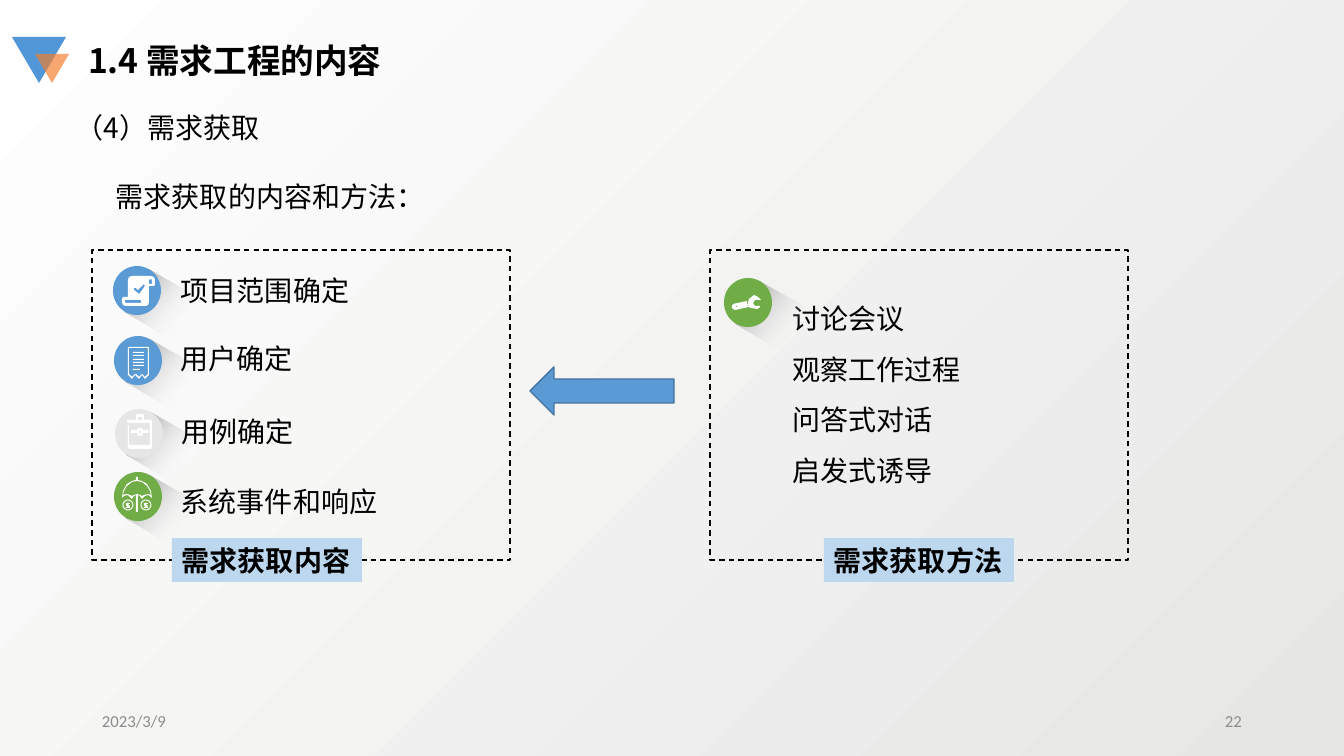
from math import cos, pi, sin

from lxml import etree
from pptx import Presentation
from pptx.dml.color import RGBColor
from pptx.enum.dml import MSO_LINE
from pptx.enum.shapes import MSO_SHAPE
from pptx.enum.text import MSO_ANCHOR, MSO_AUTO_SIZE, PP_ALIGN
from pptx.oxml.ns import qn
from pptx.util import Pt

PX = 12192000 / 1344
CJK = "Noto Sans CJK SC"
BLUE, GREEN, GREY, PALE = "5B9BD5", "70AD47", "E6E6E6", "BDD7EE"
RECT, OVAL = MSO_SHAPE.RECTANGLE, MSO_SHAPE.OVAL
TRI, ARROW = MSO_SHAPE.ISOSCELES_TRIANGLE, MSO_SHAPE.DOWN_ARROW
TOP, MID = MSO_ANCHOR.TOP, MSO_ANCHOR.MIDDLE
LEFT, RIGHT = PP_ALIGN.LEFT, PP_ALIGN.RIGHT


def paint(color, hue, alpha=None):
    color.rgb = RGBColor.from_string(hue)
    if alpha is not None:
        node = color._xFill.find(qn("a:srgbClr")) if hasattr(color, "_xFill") else None
        if node is None:
            node = color._color._xClr
        etree.SubElement(node, qn("a:alpha")).set("val", str(alpha * 1000))


def write(shape, text, box=None, size=20, font="Calibri", hue="000000",
          bold=False, align=LEFT, anchor=MID, space=None, wrap=True):
    if box:
        shape.left, shape.top, shape.width, shape.height = [round(v * PX) for v in box]
    frame = shape.text_frame
    frame.text = text
    frame.word_wrap = wrap
    frame.auto_size = MSO_AUTO_SIZE.NONE
    frame.vertical_anchor = anchor
    for para in frame.paragraphs:
        para.alignment = align
        para.space_before = Pt(0)
        if space:
            para.line_spacing = space
        if shape.is_placeholder:
            props = para._p.get_or_add_pPr()
            props.set("marL", "0")
            props.set("indent", "0")
            etree.SubElement(props, qn("a:buNone"))
        for run in para.runs:
            run.font.name, run.font.size, run.font.bold = font, Pt(size), bold
            paint(run.font.color, hue)
            latin = run.font._element.find(qn("a:latin"))
            east = etree.Element(qn("a:ea"))
            east.set("typeface", CJK)
            latin.addnext(east)


deck = Presentation()
deck.slide_width, deck.slide_height = round(1344 * PX), round(756 * PX)
slide = deck.slides.add_slide(deck.slide_layouts[1])
shapes = slide.shapes

# Background
back = slide.background.fill
back.gradient()
back.gradient_angle = 135
for stop, hue in zip(back.gradient_stops, ("E6E6E5", "FFFFFF")):
    paint(stop.color, hue)

# Title and method list
write(shapes.title, "1.4 需求工程的内容", (78, 40, 471, 46), size=24, font=CJK,
      bold=True, space=0.9)
write(slide.placeholders[1], "讨论会议\n观察工作过程\n问答式对话\n启发式诱导",
      (782, 280, 335, 206), font="Arial", anchor=TOP, space=Pt(36))

# Corner triangles
for x, y, w, h, hue, alpha in ((12, 37, 54, 46, "5197D7", 100),
                               (35, 54, 34, 29, "F37D2A", 68)):
    mark = shapes.add_shape(TRI, *[round(v * PX) for v in (x, y, w, h)])
    mark.rotation = 180
    mark.shadow.inherit = False
    mark.fill.solid()
    paint(mark.fill.fore_color, hue, alpha)
    mark.line.fill.background()

# Icon outlines, in px from the corner of their disc
scroll = [
    [(38, 10), (19, 10), (16, 11), (15, 14), (15, 31), (10, 31), (9, 33), (9, 36), (10, 39),
     (13, 40), (33, 40), (35, 39), (36, 36), (36, 20), (41, 20), (42, 19), (42, 14), (41, 11)],
    [(13, 37), (12, 36), (12, 34), (28, 34), (28, 36), (29, 37)],
    [(32, 20), (27, 27), (26, 28), (25, 27), (21, 24), (21, 22), (23, 22), (25, 24),
     (30, 19), (31, 18)],
    [(39, 18), (36, 18), (36, 14), (38, 13), (39, 14)]]
bill = [
    [(14, 11), (35, 11), (35, 39), (31, 43), (28, 39), (25, 43), (21, 39), (18, 43), (14, 39)],
    [(15, 12), (15, 38), (18, 41), (21, 38), (22, 38), (25, 41), (28, 38), (31, 41),
     (34, 38), (34, 12)]]
for y, end in ((16, 30), (19, 30), (23, 30), (26, 30), (29, 30), (33, 26)):
    bill.append([(19, y), (end, y), (end, y + 1), (19, y + 1)])
bag = [
    [(12, 11), (21, 11), (21, 6), (22, 5), (28, 5), (29, 6), (29, 11), (36, 11), (37, 12),
     (37, 38), (36, 40), (14, 40), (13, 38), (13, 16), (14, 16), (14, 36), (35, 36),
     (35, 14), (13, 14), (12, 12)],
    [(23, 8), (23, 11), (27, 11), (27, 8)],
    [(16, 21), (22, 21), (23, 19), (27, 19), (28, 21), (33, 21), (34, 23), (33, 24),
     (28, 24), (27, 27), (23, 27), (22, 24), (16, 24)],
    [(24, 22), (26, 22), (26, 24), (24, 24)]]
shade = [
    [(8, 26), (9, 19), (13, 12), (18, 9), (22, 8), (22, 5), (24, 5), (24, 8), (28, 9),
     (33, 12), (37, 19), (38, 26), (36, 24), (34, 23), (31, 24), (28, 27), (26, 24),
     (24, 23), (24, 40), (22, 40), (22, 23), (20, 24), (18, 27), (15, 24), (13, 23), (10, 24)],
    [(9, 23), (10, 19), (13, 14), (18, 10), (23, 9), (28, 10), (33, 14), (36, 19), (37, 23),
     (34, 22), (30, 23), (28, 24), (26, 23), (23, 22), (20, 23), (18, 24), (16, 23), (13, 22)]]
for cx in (14, 32):
    for r in (5.5, 4.5):
        shade.append([(cx + r * cos(k * pi / 8), 33 + r * sin(k * pi / 8)) for k in range(16)])
    shade.append([(cx + x, 33 + y) for x, y in (
        (-2, -2), (2, -2), (2, -1), (0, -1), (2, 1), (2, 3), (-2, 3), (-2, 2), (0, 2), (-2, 0))])
wrench = [
    [(35, 30), (33, 31), (27, 30), (23, 28), (25, 21), (30, 17), (34, 19), (37, 22), (31, 22),
     (29, 25), (31, 28), (36, 28), (36, 29)],
    [(11, 32), (9, 31), (8, 30), (8, 28), (9, 26), (23, 23), (23, 26), (25, 29)],
    [(12, 28), (13, 27), (13, 29), (12, 29)]]

# Discs with a fading shadow and an icon
for x, y, hue, icon in ((724, 278, GREEN, wrench), (113, 266, BLUE, scroll),
                        (114, 336, BLUE, bill), (115, 409, GREY, bag),
                        (114, 472, GREEN, shade)):
    fade = shapes.add_shape(RECT, *[round(v * PX) for v in (x + 20, y + 13, 52, 49)])
    fade.rotation = 30
    fade.fill.gradient()
    fade.fill.gradient_angle = 350
    first, last = fade.fill.gradient_stops
    paint(first.color, "808080")
    paint(last.color, "F8F8F8", 0)
    last.position = 0.82
    disc = shapes.add_shape(OVAL, *[round(v * PX) for v in (x, y, 48, 49)])
    pen = None
    for loop in icon:
        dots = [((x + dx) * PX, (y + dy) * PX) for dx, dy in loop]
        if pen is None:
            pen = shapes.build_freeform(*dots[0], scale=1.0)
        else:
            pen.move_to(*dots[0])
        pen.add_line_segments(dots[1:], close=True)
    glyph = pen.convert_to_shape()
    for part, tint in ((disc, hue), (glyph, "FFFFFF")):
        part.fill.solid()
        paint(part.fill.fore_color, tint)
    for part in (fade, disc, glyph):
        part.shadow.inherit = False
        part.line.fill.background()

# Dashed frames with their labels
for x, tag, text in ((92, 172, "需求获取内容"), (710, 824, "需求获取方法")):
    frame = shapes.add_shape(RECT, *[round(v * PX) for v in (x, 250, 418, 310)])
    frame.shadow.inherit = False
    frame.fill.background()
    paint(frame.line.color, "000000")
    frame.line.width = Pt(1)
    frame.line.dash_style = MSO_LINE.DASH
    label = shapes.add_shape(RECT, *[round(v * PX) for v in (tag, 538, 190, 44)])
    label.shadow.inherit = False
    label.fill.solid()
    paint(label.fill.fore_color, PALE)
    label.line.fill.background()
    write(label, text, bold=True, wrap=False)

# Arrow from methods to contents
arrow = shapes.add_shape(ARROW, *[round(v * PX) for v in (578, 319, 48, 144)])
arrow.rotation = 90
arrow.shadow.inherit = False
arrow.fill.solid()
paint(arrow.fill.fore_color, BLUE)
paint(arrow.line.color, "43739E")
arrow.line.width = Pt(1)

# Headings, content items and footer
item = dict(font="Arial", anchor=TOP, space=Pt(36))
foot = dict(size=12, hue="8C8C8C")
for text, box, form in (
        ("（4）需求获取", (66, 105, 943, 44), dict(font=CJK)),
        ("需求获取的内容和方法：", (106, 174, 349, 44), {}),
        ("项目范围确定", (171, 252, 270, 55), item),
        ("用户确定", (171, 320, 270, 55), item),
        ("用例确定", (172, 393, 270, 55), item),
        ("系统事件和响应", (171, 463, 270, 55), item),
        ("2023/3/9", (92, 701, 302, 40), foot),
        ("22", (950, 701, 302, 40), dict(foot, align=RIGHT))):
    write(shapes.add_textbox(0, 0, 0, 0), text, box, **form)

deck.save("out.pptx")
